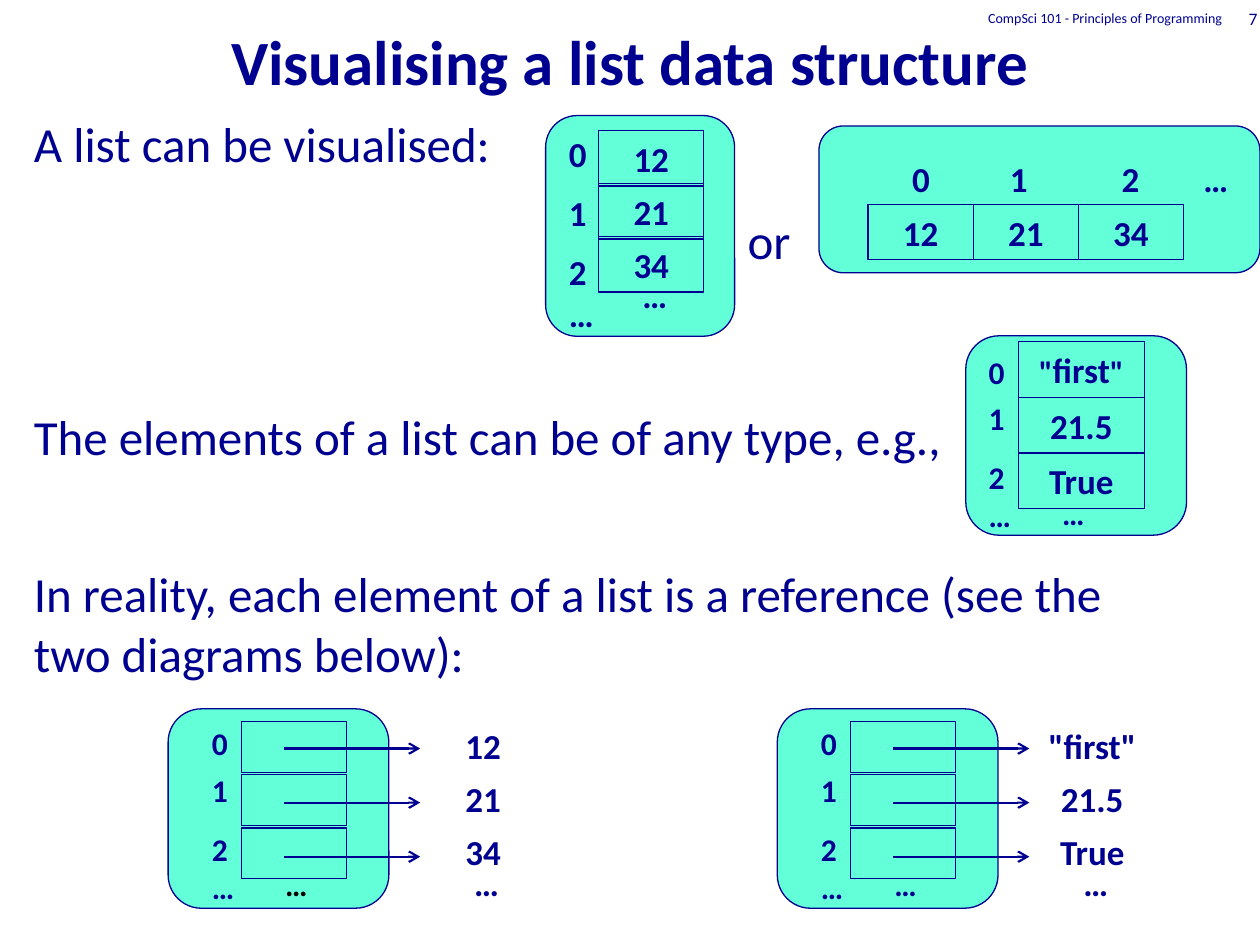
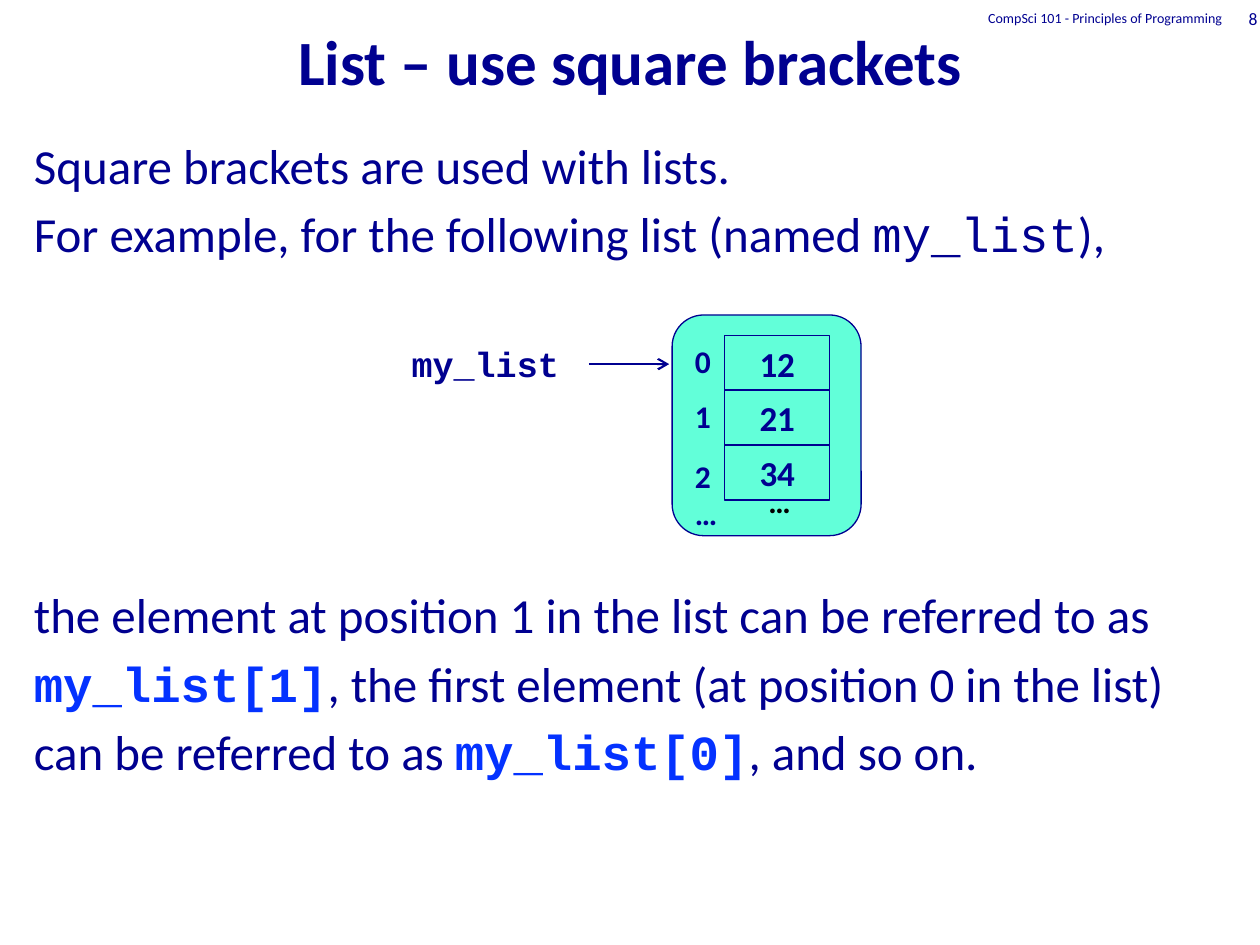
from lxml.etree import SubElement
from pptx import Presentation
from pptx.dml.color import RGBColor
from pptx.enum.shapes import MSO_CONNECTOR, MSO_SHAPE
from pptx.enum.text import MSO_ANCHOR, MSO_AUTO_SIZE, PP_ALIGN
from pptx.oxml.ns import qn
from pptx.util import Cm, Pt

NAVY, MINT, BLUE, BLACK = "000090", "62FFD9", "0432FF", "000000"
FONT, CODE_FONT = "Calibri", "Courier New"
COURSE = "CompSci 101 - Principles of Programming"
FIRST_NUMBER = 7
ELLIPSIS = "…"
INDICES = ["0", "1", "2", ELLIPSIS]
NUMBERS = ["12", "21", "34"]

# Run styles; a run is plain text or a (text, style) pair.
CODE = dict(name=CODE_FONT)
KEY_CODE = dict(name=CODE_FONT, color=BLUE, bold=True)
QUOTE = dict(size=18)

# Lengths are in cm; places inside a diagram count from its panel's corner.
# Body lines are (space before in points, runs).
SLIDES = [
    dict(
        title="Visualising a list data structure",
        body_box=(0.43, 2.16, 23.29, 15.24),
        body=[
            (0, ["A list can be visualised:"]),
            (134, ["The elements of a list can be of any type, e.g.,"]),
            (56, ["In reality, each element of a list is a reference (see the"]),
            (0.7, ["two diagrams below):"]),
        ],
        columns=[
            dict(panel=(11, 2.33, 3.81, 4.45), cells=(1.07, 0.3, 2.12, 1.12),
                 step=1.07, values=NUMBERS, index_top=0.21, index_size=20,
                 index_gaps=(0, 9.8, 9.8, 0), dots=(3.05, 20, NAVY)),
            dict(panel=(19.47, 6.77, 4.45, 4.02), cells=(1.06, 0.12, 2.54, 1.12),
                 step=1.12, index_top=0.22, index_size=18,
                 values=[[('"', QUOTE), "first", ('"', QUOTE)], "21.5", "True"],
                 index_gaps=(0, 4.9, 12.2, 0), dots=(3.06, 18, NAVY)),
        ],
        rows=[
            dict(panel=(16.51, 2.54, 8.89, 2.96), cells=(0.99, 1.58, 2.12, 1.12),
                 values=NUMBERS, index_box=(1.63, 0.51, 7.2, 1.12),
                 tabs=(1.97, 4.22, 5.87)),
        ],
        references=[
            dict(corner=(3.39, 14.29), values=NUMBERS, dots_color=BLACK),
            dict(corner=(15.67, 14.29), values=['"first"', "21.5", "True"],
                 dots_color=NAVY),
        ],
        labels=[("or", (14.82, 4.11, 2.12, 1.45), dict(size=28, bold=False))],
        arrows=[],
    ),
    dict(
        title="List – use square brackets",
        body_box=(0.43, 2.6, 24.77, 15.04),
        body=[
            (0, ["Square brackets are used with lists."]),
            (5.5, ["For example, for the following list (named ",
                   ("my_list", CODE), "),"]),
            (184, ["the element at position 1 in the list can be referred to as"]),
            (5.5, [("my_list[1]", KEY_CODE),
                   ", the first element (at position 0 in the list)"]),
            (5.5, ["can be referred to as ", ("my_list[0]", KEY_CODE),
                   ", and so on."]),
        ],
        columns=[
            dict(panel=(13.55, 6.35, 3.81, 4.45), cells=(1.06, 0.41, 2.12, 1.12),
                 step=1.1, values=NUMBERS, index_top=0.43, index_size=18,
                 index_gaps=(0, 9.8, 12.2, 0), dots=(3.25, 18, BLACK)),
        ],
        rows=[],
        references=[],
        labels=[("my_list", (8.05, 6.78, 3.81, 1.12), dict(name=CODE_FONT))],
        arrows=[(11.87, 13.49, 7.34)],
    ),
]


def rgb(hex_color):
    return RGBColor.from_string(hex_color)


def style_font(font, size=None, color=None, bold=None, name=None):
    if size:
        font.size = Pt(size)
    if color:
        font.color.rgb = rgb(color)
    if bold is not None:
        font.bold = bold
    if name:
        font.name = name


def write(paragraph, runs, **style):
    """Fill a paragraph with plain or (text, style) runs over a common style."""
    style_font(paragraph.font, **{
        "size": 20, "color": NAVY, "bold": True, "name": FONT, **style})
    for item in [runs] if isinstance(runs, str) else runs:
        text, run_style = (item, {}) if isinstance(item, str) else item
        run = paragraph.add_run()
        run.text = text
        if run_style:
            style_font(run.font, **run_style)


def add_lines(frame, lines, **style):
    """Write (space before, runs) lines as the paragraphs of a frame."""
    for number, (space, runs) in enumerate(lines):
        paragraph = frame.add_paragraph() if number else frame.paragraphs[0]
        if space:
            paragraph.space_before = Pt(space)
        write(paragraph, runs, **style)


def add_label(shapes, runs, box, align=PP_ALIGN.LEFT, **style):
    frame = shapes.add_textbox(*map(Cm, box)).text_frame
    frame.word_wrap = True
    frame.paragraphs[0].alignment = align
    write(frame.paragraphs[0], runs, **style)
    return frame


def add_outlined(shapes, kind, box, fill=None):
    shape = shapes.add_shape(kind, *map(Cm, box))
    shape.shadow.inherit = False
    if fill:
        shape.fill.solid()
        shape.fill.fore_color.rgb = rgb(fill)
    else:
        shape.fill.background()
    shape.line.color.rgb = rgb(NAVY)
    shape.line.width = Pt(0.75)
    return shape


def add_panel(shapes, box):
    add_outlined(shapes, MSO_SHAPE.ROUNDED_RECTANGLE, box, MINT)


def add_cells(shapes, box, values, step_x=0, step_y=0):
    left, top, width, height = box
    for number, value in enumerate(values):
        cell = add_outlined(shapes, MSO_SHAPE.RECTANGLE, (
            left + number * step_x, top + number * step_y, width, height))
        if value:
            paragraph = cell.text_frame.paragraphs[0]
            paragraph.alignment = PP_ALIGN.CENTER
            write(paragraph, value)


def add_arrow(shapes, start, end, top):
    arrow = shapes.add_connector(
        MSO_CONNECTOR.STRAIGHT, Cm(start), Cm(top), Cm(end), Cm(top))
    arrow.line.color.rgb = rgb(NAVY)
    arrow.line.width = Pt(1.25)
    properties = arrow.element.spPr
    SubElement(properties.find(qn("a:ln")), qn("a:tailEnd"), type="arrow")
    SubElement(properties, qn("a:effectLst"))


def draw_column(shapes, panel, cells, step, values, index_top, index_size,
                index_gaps, dots):
    """Draw a list as stacked cells with its indices on the left."""
    left, top = panel[:2]
    cell_left, cell_top, width, height = cells
    cell_left += left
    add_panel(shapes, panel)
    frame = add_label(shapes, [], (cell_left - 0.85, top + index_top, 2.12, 4))
    add_lines(frame, zip(index_gaps, INDICES), size=index_size)
    add_cells(shapes, (cell_left, top + cell_top, width, height), values,
              step_y=step)
    dots_top, dots_size, dots_color = dots
    add_label(shapes, ELLIPSIS, (cell_left + 0.63, top + dots_top, 2.12, 1.02),
              size=dots_size, color=dots_color)


def draw_row(shapes, panel, cells, values, index_box, tabs):
    """Draw a list as cells side by side with its indices above."""
    left, top = panel[:2]
    add_panel(shapes, panel)
    box = (left + index_box[0], top + index_box[1], *index_box[2:])
    frame = add_label(shapes, [], box)
    paragraph = frame.paragraphs[0]
    tab_list = paragraph._p.get_or_add_pPr()
    tab_list = SubElement(tab_list, qn("a:tabLst"))
    tab_list.getparent().insert(0, tab_list)
    for position in tabs:
        SubElement(tab_list, qn("a:tab"), pos=str(Cm(position)), algn="l")
    write(paragraph, "\t".join(INDICES))
    add_cells(shapes, (left + cells[0], top + cells[1], *cells[2:]), values,
              step_x=cells[2])


def draw_reference(shapes, corner, values, dots_color):
    """Draw a list of empty cells with arrows to the values outside."""
    left, top = corner
    draw_column(shapes, (left, top, 4.45, 4.02), (1.48, 0.26, 2.12, 1.02), 1.07,
                [None] * len(values), 0.19, 18, (0, 4.9, 12.2, 0),
                (3.03, 18, dots_color))
    for number, value in enumerate(values):
        add_label(shapes, value,
                  (left + 4.98, top + 0.19 + number * 1.07, 2.74, 1.12),
                  PP_ALIGN.CENTER)
        add_arrow(shapes, left + 2.33, left + 5.08, top + 0.8 + number * 1.09)
    add_label(shapes, ELLIPSIS, (left + 5.92, top + 2.96, 2.12, 1.12))


def place(placeholder, box, anchor):
    placeholder.left, placeholder.top, placeholder.width, placeholder.height = map(
        Cm, box)
    frame = placeholder.text_frame
    frame.auto_size = MSO_AUTO_SIZE.NONE
    frame.vertical_anchor = anchor
    return frame


def add_base_slide(presentation, number, title, body_box, body):
    """Add a slide with its title, body text and running header."""
    slide = presentation.slides.add_slide(presentation.slide_layouts[1])
    frame = place(slide.shapes.title, (0, 0, 25.4, 2.11), MSO_ANCHOR.BOTTOM)
    frame.paragraphs[0].alignment = PP_ALIGN.CENTER
    write(frame.paragraphs[0], title, size=36)

    frame = place(slide.placeholders[1], body_box, MSO_ANCHOR.TOP)
    add_lines(frame, body, size=28, bold=False)
    for paragraph in frame.paragraphs:
        properties = paragraph._p.get_or_add_pPr()
        properties.set("marL", "0")
        properties.set("indent", "0")
        bullet = SubElement(properties, qn("a:buNone"))
        properties.find(qn("a:defRPr")).addprevious(bullet)
        if paragraph.space_before is None:
            paragraph.space_before = Pt(0)

    for text, box, size in [(str(number), (24.13, 0.15, 1.47, 0.43), 10),
                            (COURSE, (17.35, 0.15, 7.55, 0.43), 8)]:
        frame = add_label(slide.shapes, text, box, PP_ALIGN.RIGHT, size=size,
                          bold=False)
        frame.vertical_anchor = MSO_ANCHOR.MIDDLE
    return slide


def main():
    presentation = Presentation()
    presentation.slide_width, presentation.slide_height = Cm(25.4), Cm(19.05)
    for number, content in enumerate(SLIDES, FIRST_NUMBER):
        slide = add_base_slide(presentation, number, content["title"],
                               content["body_box"], content["body"])
        for kind, draw in [("columns", draw_column), ("rows", draw_row),
                           ("references", draw_reference)]:
            for diagram in content[kind]:
                draw(slide.shapes.add_group_shape().shapes, **diagram)
        for text, box, style in content["labels"]:
            add_label(slide.shapes, text, box, **style)
        for arrow in content["arrows"]:
            add_arrow(slide.shapes, *arrow)
    presentation.save("out.pptx")


if __name__ == "__main__":
    main()
